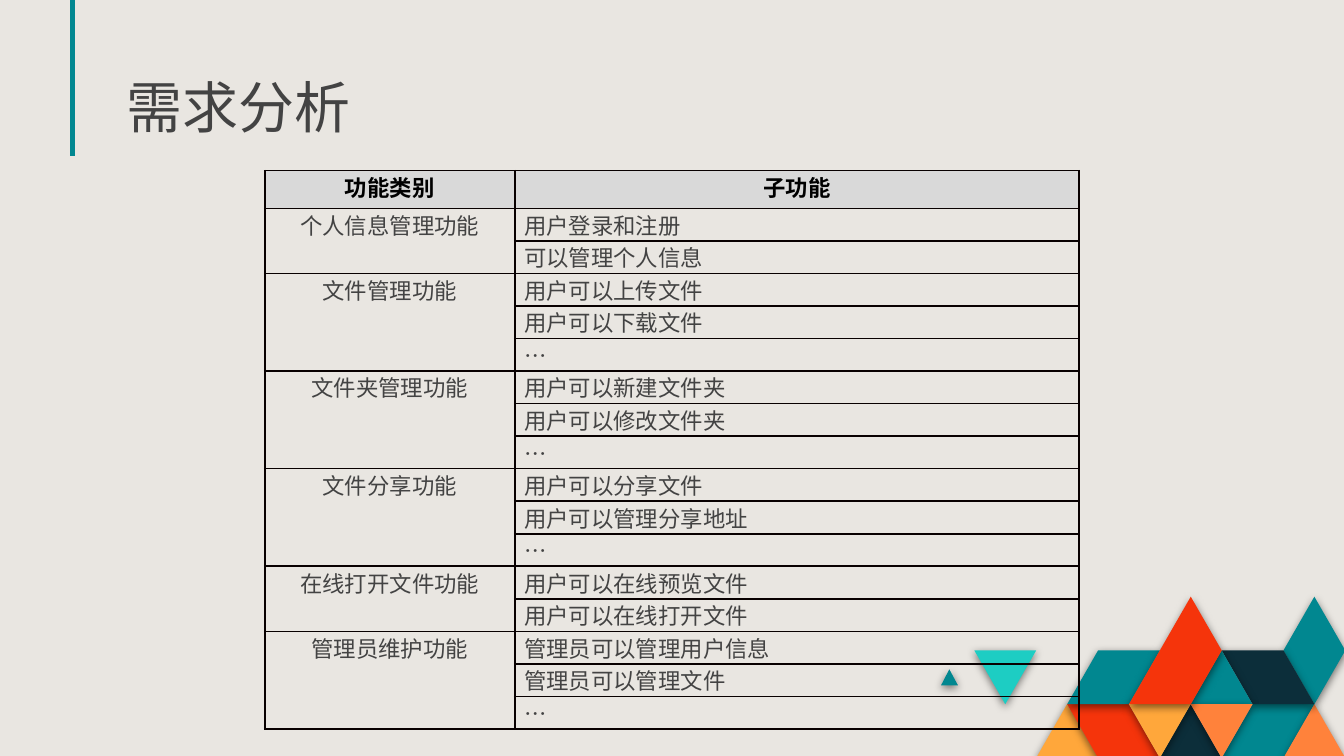
from lxml import etree
from pptx import Presentation
from pptx.dml.color import RGBColor
from pptx.enum.shapes import MSO_CONNECTOR
from pptx.enum.text import MSO_ANCHOR, PP_ALIGN
from pptx.oxml import parse_xml
from pptx.oxml.ns import qn
from pptx.util import Inches, Pt

STRAIGHT = MSO_CONNECTOR.STRAIGHT
BOTTOM, TOP = MSO_ANCHOR.BOTTOM, MSO_ANCHOR.TOP
CENTER, LEFT = PP_ALIGN.CENTER, PP_ALIGN.LEFT

NS = 'xmlns:a="http://schemas.openxmlformats.org/drawingml/2006/main"'
CJK_FONT, TITLE_FONT = "Noto Sans CJK SC", "Roboto Condensed"
TEAL, NAVY, RED = "018790", "0C2E3A", "F5340B"
AMBER, ORANGE, AQUA = "FFA73B", "FF823B", "1DCDC3"
INK, BLACK, GREY, PAPER = "434343", "000000", "D9D9D9", "E9E6E1"

HEADER = ("功能类别", "子功能")
FUNCTIONS = [
    ("个人信息管理功能", ["用户登录和注册", "可以管理个人信息"]),
    ("文件管理功能", ["用户可以上传文件", "用户可以下载文件", "…"]),
    ("文件夹管理功能", ["用户可以新建文件夹", "用户可以修改文件夹", "…"]),
    ("文件分享功能", ["用户可以分享文件", "用户可以管理分享地址", "…"]),
    ("在线打开文件功能", ["用户可以在线预览文件", "用户可以在线打开文件"]),
    ("管理员维护功能", ["管理员可以管理用户信息", "管理员可以管理文件", "…"]),
]

# Corners as (column, row) on the triangle grid, from back to front
TILES = [
    (AMBER, [(2, 3), (3, 2), (4, 3)]),
    (RED, [(3, 2), (5, 2), (6, 3), (4, 3)]),
    (TEAL, [(8, 3), (9, 2), (11, 2), (10, 3)]),
    (ORANGE, [(10, 3), (11, 2), (12, 3)]),
    (NAVY, [(6, 3), (7, 2), (8, 3)]),
    (TEAL, [(3, 2), (4, 1), (6, 1), (5, 2)]),
    (TEAL, [(-1.08, 1.65), (-0.81, 1.35), (-0.53, 1.65)]),
    (AQUA, [(0, 1), (2, 1), (1, 2)]),
    (TEAL, [(10, 1), (11, 0), (12, 1), (11, 2)]),
    (NAVY, [(8, 1), (10, 1), (11, 2), (9, 2)]),
    (TEAL, [(7, 2), (8, 1), (9, 2)]),
    (ORANGE, [(7, 2), (9, 2), (8, 3)]),
    (AMBER, [(5, 2), (7, 2), (6, 3)]),
    (RED, [(5, 2), (7, 0), (8, 1), (7, 2)]),
]


def rgb(value):
    return RGBColor.from_string(value)


def style_text(paragraph, size, color, font, bold=False, align=LEFT):
    paragraph.alignment = align
    for run in paragraph.runs:
        run.font.size, run.font.bold, run.font.name = Pt(size), bold, font
        run.font.color.rgb = rgb(color)
        east_asian = etree.SubElement(run.font._element, qn("a:ea"))
        east_asian.set("typeface", CJK_FONT)


def add_accent_line(slide, x, top, bottom):
    accent = slide.shapes.add_connector(
        STRAIGHT, Inches(x), Inches(top), Inches(x), Inches(bottom))
    accent.line.color.rgb = rgb(TEAL)
    accent.line.width = Pt(2.25)
    etree.SubElement(accent._element.spPr, qn("a:effectLst"))


def add_mosaic(slide, left, top, column, row):
    """Draw the tiles on a grid whose first corner is at left, top."""
    mosaic = slide.shapes.add_group_shape()
    for color, corners in TILES:
        points = [(Inches(left + c * column), Inches(top + r * row))
                  for c, r in corners]
        outline = mosaic.shapes.build_freeform(*points[0])
        outline.add_line_segments(points[1:], close=True)
        tile = outline.convert_to_shape()
        tile.fill.solid()
        tile.fill.fore_color.rgb = rgb(color)
        tile.line.fill.background()
        tile._element.spPr.append(parse_xml(
            f'<a:effectLst {NS}><a:outerShdw blurRad="{Pt(4.5)}" '
            f'dist="{Pt(1.5)}" dir="5400000" algn="bl" rotWithShape="0">'
            f'<a:srgbClr val="{BLACK}"><a:alpha val="50000"/></a:srgbClr>'
            '</a:outerShdw></a:effectLst>'))


def add_title(slide, left, top, width, height):
    title = slide.shapes.add_textbox(
        Inches(left), Inches(top), Inches(width), Inches(height))
    frame = title.text_frame
    frame.word_wrap = True
    frame.vertical_anchor = BOTTOM
    frame.margin_left = frame.margin_right = Inches(0.1)
    frame.margin_top = frame.margin_bottom = Inches(0.1)
    frame.text = "需求分析"
    style_text(frame.paragraphs[0], 30, INK, TITLE_FONT)


def style_cell(cell, fill=None):
    cell.margin_left = cell.margin_right = Inches(0.07)
    cell.margin_top = cell.margin_bottom = 0
    cell.vertical_anchor = TOP
    properties = cell._tc.get_or_add_tcPr()
    for side in ("lnL", "lnR", "lnT", "lnB"):
        properties.append(parse_xml(
            f'<a:{side} {NS} w="{Pt(1)}"><a:solidFill>'
            f'<a:srgbClr val="080000"/></a:solidFill></a:{side}>'))
    if fill:
        cell.fill.solid()
        cell.fill.fore_color.rgb = rgb(fill)
    else:
        cell.fill.background()


def fill_cell(cell, text, color=INK, bold=False, align=LEFT):
    cell.text = text
    style_text(cell.text_frame.paragraphs[0], 12, color, CJK_FONT, bold, align)


def add_function_table(slide, left, top, widths, height, header_height):
    detail_count = sum(len(details) for _, details in FUNCTIONS)
    row_height = (height - header_height) / detail_count
    table = slide.shapes.add_table(
        1 + detail_count, len(widths), Inches(left), Inches(top),
        Inches(sum(widths)), Inches(height)).table
    table.first_row = table.horz_banding = False
    for column, width in zip(table.columns, widths):
        column.width = Inches(width)
    for index, row in enumerate(table.rows):
        row.height = Inches(row_height if index else header_height)
        for cell in row.cells:
            style_cell(cell, None if index else GREY)

    for column, heading in enumerate(HEADER):
        fill_cell(table.cell(0, column), heading, BLACK, True, CENTER)
    first = 1
    for category, details in FUNCTIONS:
        last = first + len(details) - 1
        table.cell(first, 0).merge(table.cell(last, 0))
        fill_cell(table.cell(first, 0), category, align=CENTER)
        for index, detail in enumerate(details, first):
            fill_cell(table.cell(index, 1), detail)
        first = last + 1


def main():
    deck = Presentation()
    deck.slide_width = Inches(10)
    deck.slide_height = deck.slide_width * 9 // 16
    slide = deck.slides.add_slide(deck.slide_layouts[6])
    slide.background.fill.solid()
    slide.background.fill.fore_color.rgb = rgb(PAPER)
    add_accent_line(slide, 0.54, 0, 1.16)
    add_mosaic(slide, 7.25, 4.44, 0.23, 0.4)
    add_title(slide, 0.84, 0.51, 2.93, 0.63)
    add_function_table(slide, 1.97, 1.27, (1.86, 4.2), 4.16, 0.28)
    deck.save("out.pptx")


if __name__ == "__main__":
    main()
